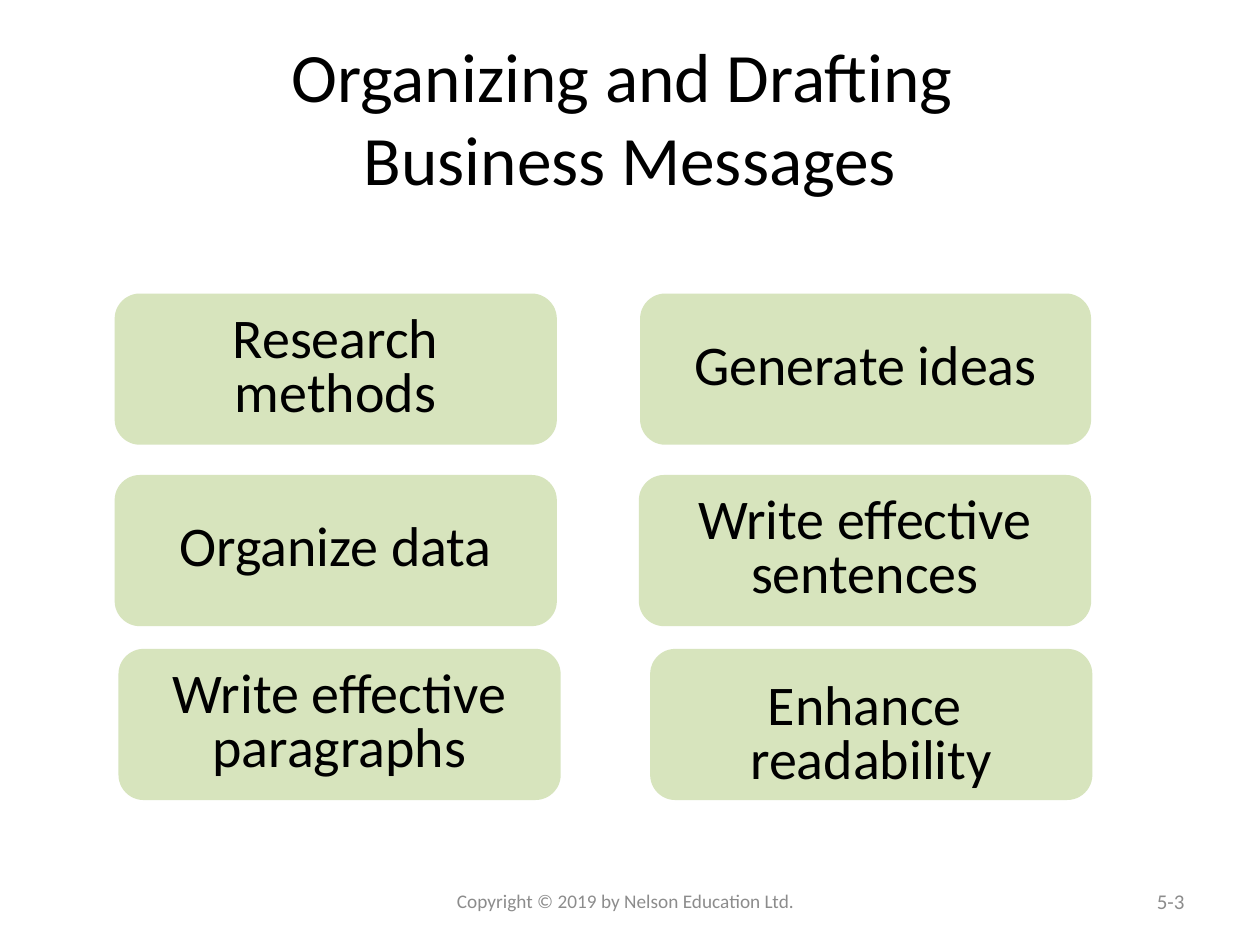
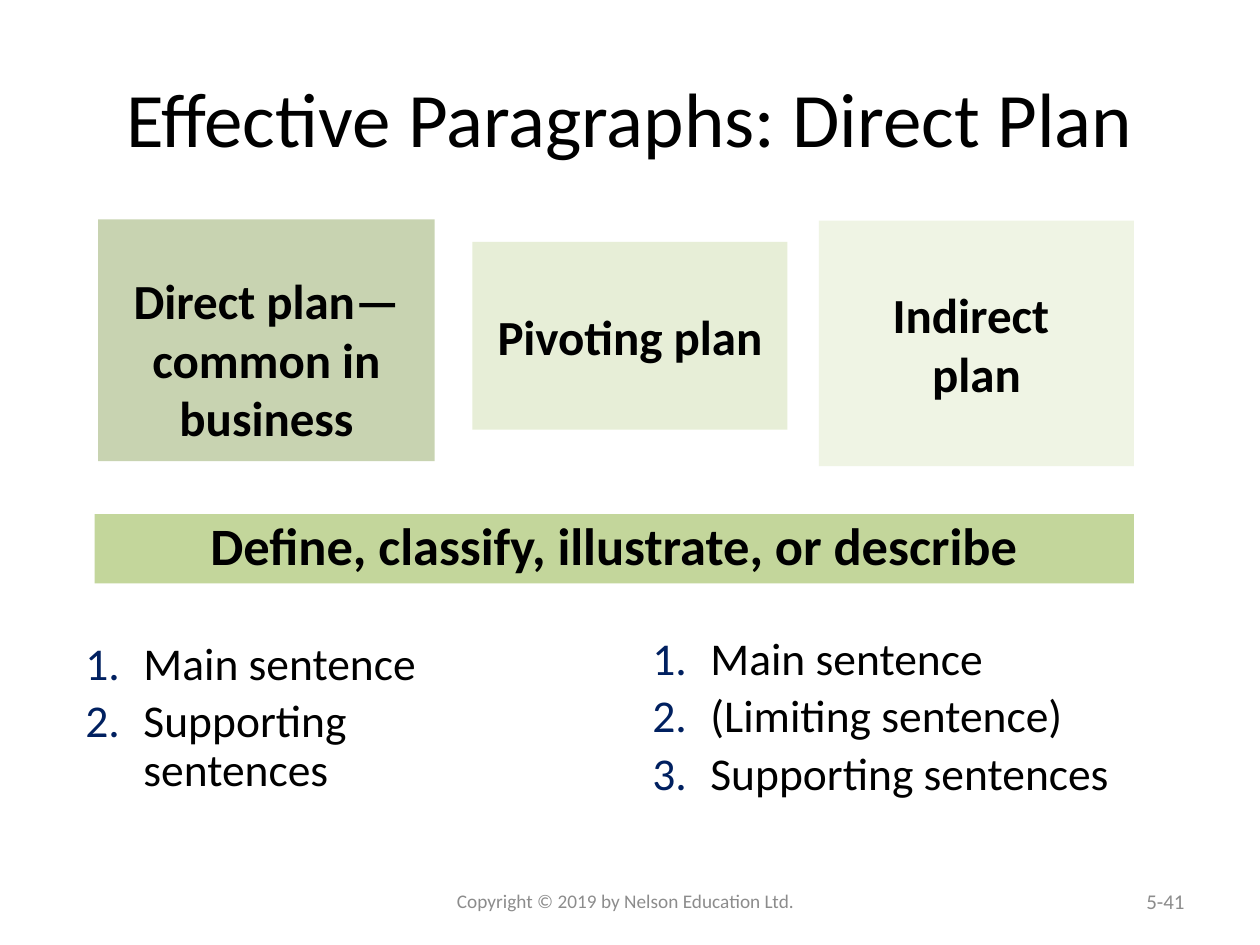
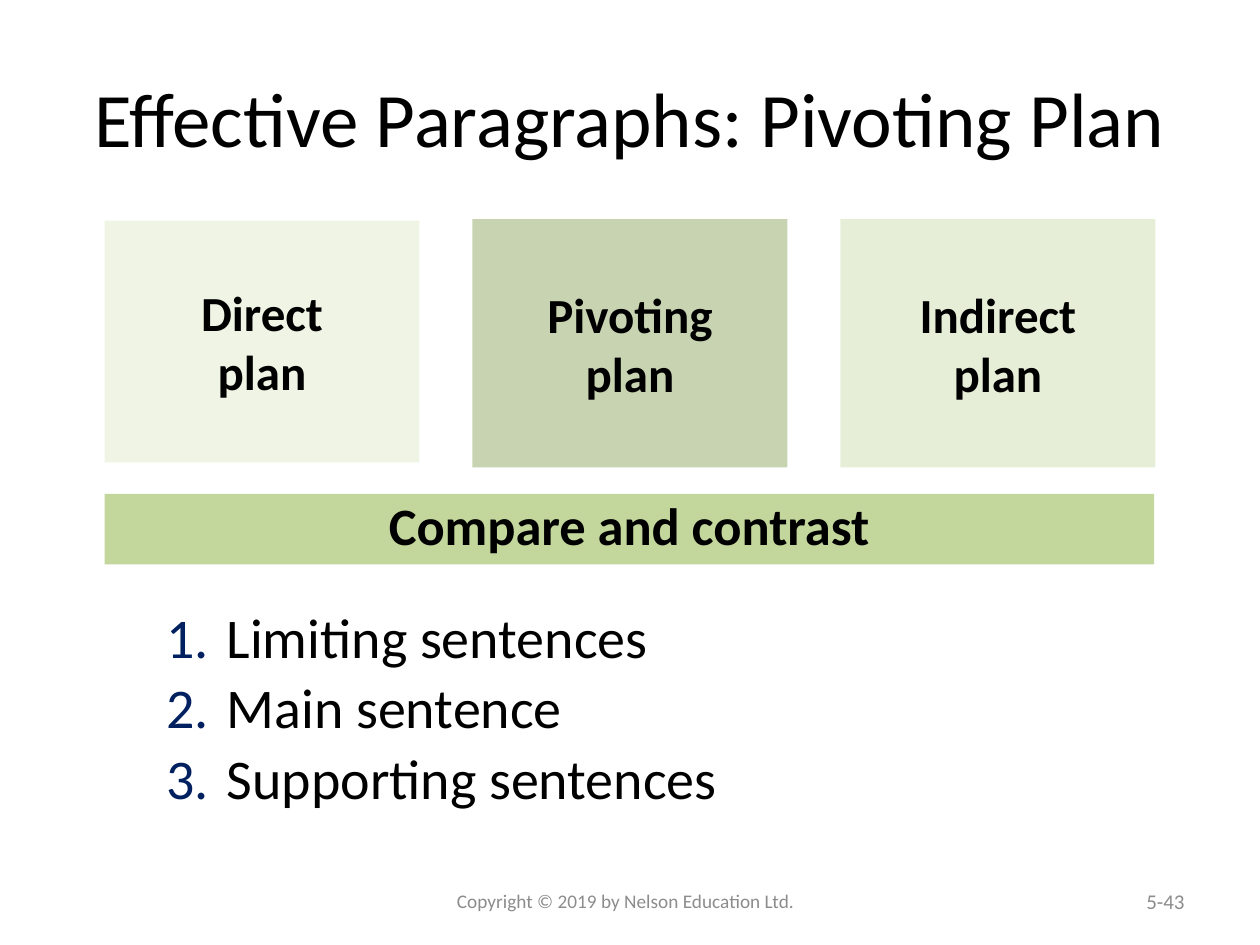
from lxml import etree
from pptx import Presentation
from pptx.dml.color import RGBColor
from pptx.enum.shapes import MSO_SHAPE as Shape
from pptx.enum.text import MSO_ANCHOR as Anchor, PP_ALIGN as Align
from pptx.oxml.ns import qn
from pptx.util import Inches, Pt

FONT = "Calibri"
COLORS = {
    "text": "000000",
    "footer": "8C8C8C",
    "number": "002060",
    "topic": "D7E4BD",
    "band": "C3D69B",
    "dark": "77933C",
    "medium": "C3D69B",
    "light": "D7E4BD",
}
PLAN_OPACITY = 40
PLAN_INSETS = (0.08, 0.04, 0.08, 0.04)


def add_numbering(paragraph, indent):
    properties = paragraph._p.get_or_add_pPr()
    properties.set("marL", str(Inches(indent)))
    properties.set("indent", str(-Inches(indent)))
    color = etree.SubElement(properties, qn("a:buClr"))
    etree.SubElement(color, qn("a:srgbClr"), val=COLORS["number"])
    etree.SubElement(properties, qn("a:buAutoNum"), type="arabicPeriod")


def write_text(shape, *texts, size, color="text", bold=False, align=Align.CENTER,
               anchor=Anchor.MIDDLE, spacing=None, gap=0, number_indent=None,
               insets=(0.1, 0.05, 0.1, 0.05), wrap=True):
    """Write each text as a paragraph; insets are left, top, right, bottom in inches."""
    frame = shape.text_frame
    frame.word_wrap = wrap
    frame.vertical_anchor = anchor
    (frame.margin_left, frame.margin_top,
     frame.margin_right, frame.margin_bottom) = map(Inches, insets)
    for index, text in enumerate(texts):
        paragraph = frame.add_paragraph() if index else frame.paragraphs[0]
        paragraph.text = text
        if number_indent:
            add_numbering(paragraph, number_indent)
        paragraph.alignment = align
        if spacing:
            paragraph.line_spacing = spacing
        if index and gap:
            paragraph.space_before = Pt(gap)
        font = paragraph.font
        font.name, font.size, font.bold = FONT, Pt(size), bold
        font.color.rgb = RGBColor.from_string(COLORS[color])


def add_text(slide, box, *texts, **text_format):
    write_text(slide.shapes.add_textbox(*map(Inches, box)), *texts, **text_format)


def add_box(slide, kind, box, fill, text, opacity=None, **text_format):
    shape = slide.shapes.add_shape(kind, *map(Inches, box))
    shape.shadow.inherit = False
    shape.line.fill.background()
    shape.fill.solid()
    shape.fill.fore_color.rgb = RGBColor.from_string(COLORS[fill])
    if opacity:
        color = shape.fill._xPr.find(".//" + qn("a:srgbClr"))
        etree.SubElement(color, qn("a:alpha"), val=str(opacity * 1000))
    write_text(shape, text, **text_format)


def add_topic(slide, box, text, top_inset=0.05):
    add_box(slide, Shape.ROUNDED_RECTANGLE, box, "topic", text, size=32,
            spacing=0.8, insets=(0.1, top_inset, 0.1, 0.05), wrap=False)


def add_plan(slide, box, fill, text, insets=PLAN_INSETS):
    add_box(slide, Shape.RECTANGLE, box, fill, text, opacity=PLAN_OPACITY,
            size=28, bold=True, insets=insets)


def add_band(slide, box, text):
    add_box(slide, Shape.RECTANGLE, box, "band", text, size=30, bold=True,
            anchor=Anchor.TOP, spacing=0.9)


def add_numbered_list(slide, box, *items, size, indent):
    add_text(slide, box, *items, size=size, align=Align.LEFT, anchor=Anchor.TOP,
             spacing=0.9, gap=0.18 * size, number_indent=indent)


def add_slide(presentation, title, number, title_size=44):
    """Add a blank slide with the shared title, copyright line and slide number."""
    slide = presentation.slides.add_slide(presentation.slide_layouts[6])
    add_text(slide, (0.5, 0.3, 9, 1.25), title, size=title_size)
    add_text(slide, (3.38, 6.95, 3.17, 0.4),
             "Copyright © 2019 by Nelson Education Ltd.", size=11, color="footer")
    add_text(slide, (7.17, 6.95, 2.33, 0.4), number, size=12, color="footer",
             align=Align.RIGHT)
    return slide


def build_overview(presentation):
    slide = add_slide(presentation, "Organizing and Drafting \vBusiness Messages",
                      "5-3", title_size=39.6)
    height = 1.2
    add_topic(slide, (0.91, 2.33, 3.51, height), "Research\vmethods")
    add_topic(slide, (5.08, 2.33, 3.58, height), "Generate ideas")
    add_topic(slide, (0.91, 3.77, 3.51, height), "Organize data")
    add_topic(slide, (5.07, 3.77, 3.59, height), "Write effective\vsentences")
    add_topic(slide, (0.94, 5.15, 3.51, height), "Write effective\vparagraphs")
    add_topic(slide, (5.16, 5.15, 3.51, height), "Enhance \vreadability",
              top_inset=0.24)


def build_direct_plan(presentation):
    slide = add_slide(presentation, "Effective Paragraphs: Direct Plan", "5-41")
    add_plan(slide, (0.78, 1.74, 2.67, 1.92), "dark",
             "Direct plan—common in business", insets=(0.08, 0.33, 0.08, 0.04))
    add_plan(slide, (3.75, 1.92, 2.5, 1.49), "medium", "Pivoting plan")
    add_plan(slide, (6.5, 1.75, 2.5, 1.95), "light", "Indirect \vplan")
    add_band(slide, (0.75, 4.08, 8.25, 0.55),
             "Define, classify, illustrate, or describe")
    add_numbered_list(slide, (0.58, 5.04, 4.08, 1.38), "Main sentence",
                      "Supporting\vsentences", size=26, indent=0.46)
    add_numbered_list(slide, (5.08, 5, 4.17, 1.46), "Main sentence",
                      "(Limiting sentence)", "Supporting sentences",
                      size=26, indent=0.46)


def build_pivoting_plan(presentation):
    slide = add_slide(presentation, "Effective Paragraphs: Pivoting Plan", "5-43")
    add_plan(slide, (0.83, 1.75, 2.5, 1.92), "light", "Direct\vplan")
    add_plan(slide, (3.75, 1.74, 2.5, 1.97), "dark", "Pivoting\vplan")
    add_plan(slide, (6.67, 1.74, 2.5, 1.97), "medium", "Indirect\vplan")
    add_band(slide, (0.83, 3.92, 8.33, 0.56), "Compare and contrast")
    add_numbered_list(slide, (1.22, 4.79, 7.25, 1.77), "Limiting sentences",
                      "Main sentence", "Supporting sentences", size=32, indent=0.48)


def main():
    presentation = Presentation()
    presentation.slide_width = Inches(10)
    presentation.slide_height = Inches(7.5)
    build_overview(presentation)
    build_direct_plan(presentation)
    build_pivoting_plan(presentation)
    presentation.save("out.pptx")


if __name__ == "__main__":
    main()
